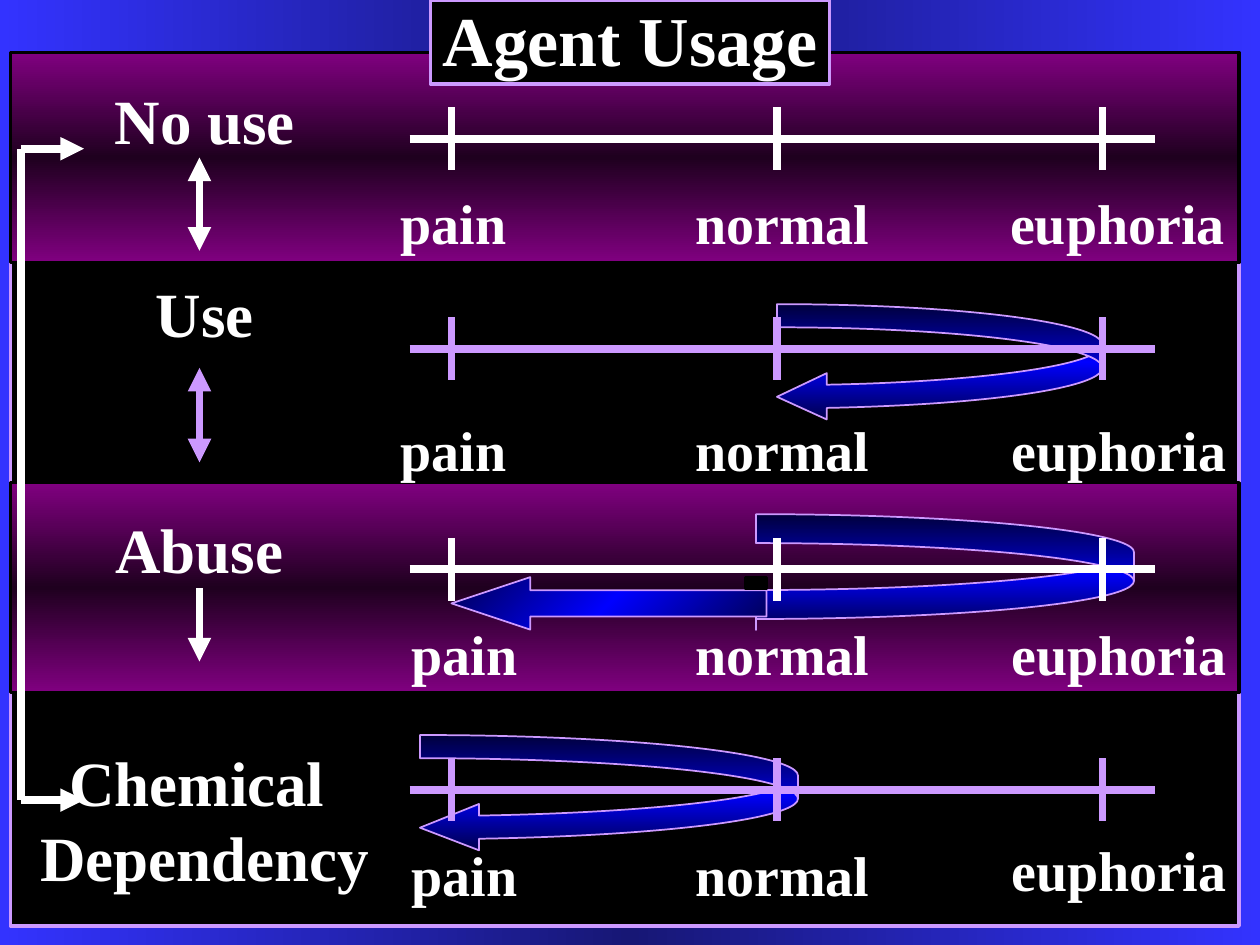
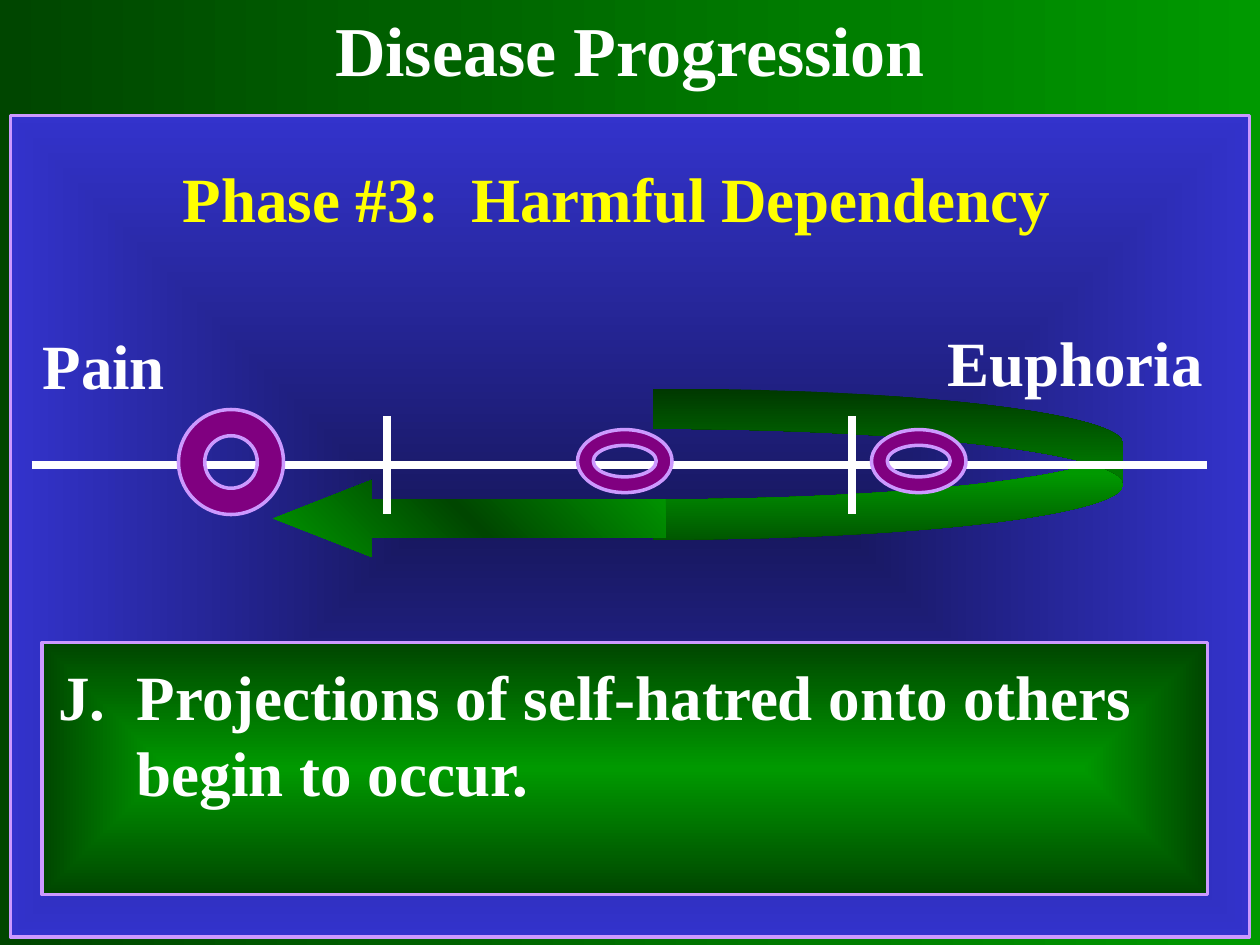
"""Build the two slides on agent usage and disease progression."""
from dataclasses import dataclass

from lxml import etree
from pptx import Presentation
from pptx import util as u
from pptx.dml.color import RGBColor
from pptx.enum import shapes, text
from pptx.oxml.ns import qn

Pt = u.Pt
Shape = shapes.MSO_SHAPE
Align = text.PP_ALIGN


@dataclass(frozen=True)
class Theme:
    """Colours, fonts and sizes shared by both slides."""
    font: str = "Times New Roman"
    white: str = "FFFFFF"
    black: str = "000000"
    lilac: str = "CC99FF"
    purple: str = "800080"
    yellow: str = "FFFF00"
    title: int = 40
    heading: int = 36
    label: int = 32
    stroke: float = 4.5
    border: int = 2


THEME = Theme()


@dataclass(frozen=True)
class Gradient:
    """A linear gradient, or a rectangular one when angle is None."""
    colors: tuple
    angle: object = None


BLUE_PAGE = Gradient(("3333FF", "171775", "3333FF"), 180)
GREEN_PAGE = Gradient(("009900", "004600"), 180)
PURPLE_BAND = Gradient(("800080", "1F001F", "800080"), 90)
BLUE_LOOP = Gradient(("00004C", "0000FF", "00004C"), 90)
BLUE_ARROW = Gradient(("000054", "0000FF", "000054"), 225)
GREEN_LOOP = Gradient(("004600", "009900", "004600"), 90)
GREEN_ARROW = Gradient(("009900", "004600", "009900"), 135)
BLUE_PANEL = Gradient(("17175E", "3333CC"))
GREEN_PANEL = Gradient(("009900", "004600"))

USAGE_TITLE = "Agent Usage"
STAGES = [
    dict(name=["No use"], name_top=43.2, axis=79.2, labels_top=104.4, pain_left=221.8,
         euphoria=(570.2, 104.4), color=THEME.white, step=(90, 143.3, True)),
    dict(name=["Use"], name_top=153.4, axis=199.4, labels_top=234, pain_left=221.8,
         euphoria=(571, 234), color=THEME.lilac, step=(210.2, 264.2, True)),
    dict(name=["Abuse"], name_top=288, axis=325.4, labels_top=350.6, pain_left=228.2,
         euphoria=(571, 350.6), color=THEME.white, step=(336.2, 378, False)),
    dict(name=["Chemical ", "Dependency"], name_top=421.2, axis=451.4, labels_top=476.6,
         pain_left=228.2, euphoria=(571, 473.8), color=THEME.lilac, step=None),
]
USAGE_BANDS = [(6, 30, 702, 120), (6, 275.8, 702, 120)]
USAGE_LOOPS = [
    ((432, 293.8, 216, 66.2), (0.25, 0.44, 0)),
    ((444, 173.8, 186, 66.2), (0.2, 0.4, 0.43)),
    ((240, 420, 216, 66.2), (0.2, 0.4, 0.51)),
]
AXIS_LEFT, AXIS_RIGHT = 234, 660
TICKS = [258 + 186 * index for index in range(3)]
TICK_REACH = 18
STEP_X = 114
RETURN_LEFT, RETURN_RIGHT, RETURN_ENDS = 12, 48, (85, 457.2)

DISEASE_TITLE = "Disease Progression"
PHASE = "Phase #3:  Harmful Dependency "
STATEMENT = "J.\tProjections of self-hatred onto others begin to occur."
DISEASE_AXIS = 265.7
DISEASE_TICKS = (221, 486.7)
RINGS = [(498, 245.5, 54, 36), (330, 245.5, 54, 36), (102, 234, 60, 60)]
EXTREMES = [("Pain", (17.3, 182.9, 84.2, 50.4)), ("Euphoria", (534.2, 181.4, 160.6, 50.4))]


def rgb(color):
    """Return a colour object for a hexadecimal string."""
    return RGBColor.from_string(color)


def assign(target, values):
    """Set every attribute named in values."""
    for name, value in values.items():
        setattr(target, name, value)


def place(shape, box):
    """Move and size a shape."""
    assign(shape, dict(zip(("left", "top", "width", "height"), map(Pt, box))))


def paint(fill, properties, paint_value):
    """Fill with a solid colour or a gradient."""
    fill.solid()
    if isinstance(paint_value, str):
        fill.fore_color.rgb = rgb(paint_value)
        return
    gradient = etree.Element(qn("a:gradFill"), rotWithShape="1")
    stops = etree.SubElement(gradient, qn("a:gsLst"))
    last = len(paint_value.colors) - 1
    for index, color in enumerate(paint_value.colors):
        stop = etree.SubElement(stops, qn("a:gs"), pos=str(100000 * index // last))
        etree.SubElement(stop, qn("a:srgbClr"), val=color)
    if paint_value.angle is None:
        route = etree.SubElement(gradient, qn("a:path"), path="rect")
        etree.SubElement(route, qn("a:fillToRect"), dict.fromkeys("ltrb", "50000"))
    else:
        etree.SubElement(gradient, qn("a:lin"), ang=str(paint_value.angle * 60000), scaled="0")
    properties.replace(properties.find(qn("a:solidFill")), gradient)


def add_figure(slide, kind, box, fill, line=THEME.lilac, width=THEME.border, adjustments=()):
    """Add a filled preset shape."""
    shape = slide.shapes.add_shape(kind, *map(Pt, box))
    shape.shadow.inherit = False
    paint(shape.fill, shape._element.spPr, fill)
    if line:
        shape.line.color.rgb = rgb(line)
        shape.line.width = Pt(width)
    else:
        shape.line.fill.background()
    for index, value in enumerate(adjustments):
        shape.adjustments[index] = value


def add_line(slide, start, end, color=THEME.white, heads=()):
    """Add a thick straight line with optional arrowheads."""
    connector = slide.shapes.add_connector(shapes.MSO_CONNECTOR.STRAIGHT, *map(Pt, start + end))
    connector.line.color.rgb = rgb(color)
    connector.line.width = Pt(THEME.stroke)
    properties = connector._element.spPr
    for head in heads:
        etree.SubElement(properties.find(qn("a:ln")), qn("a:" + head), type="triangle")
    etree.SubElement(properties, qn("a:effectLst"))


def add_axis(slide, left, right, middle, ticks, reach, color=THEME.white):
    """Add a horizontal scale with vertical ticks."""
    add_line(slide, (left, middle), (right, middle), color)
    for tick in ticks:
        add_line(slide, (tick, middle - reach), (tick, middle + reach), color)


def write(shape, lines, size, color=THEME.white, align=Align.LEFT, wrap=True, hanging=0):
    """Write bold paragraphs into a shape."""
    frame = shape.text_frame
    assign(frame, dict(word_wrap=wrap, auto_size=text.MSO_AUTO_SIZE.NONE,
                       vertical_anchor=text.MSO_ANCHOR.TOP))
    for index, line in enumerate(lines):
        paragraph = frame.paragraphs[0] if index == 0 else frame.add_paragraph()
        paragraph.text = line
        if hanging:
            properties = paragraph._p.get_or_add_pPr()
            properties.set("marL", str(Pt(hanging)))
            properties.set("indent", str(-Pt(hanging)))
            etree.SubElement(properties, qn("a:buNone"))
        assign(paragraph, dict(alignment=align, space_before=Pt(0)))
        assign(paragraph.font, dict(name=THEME.font, size=Pt(size), bold=True))
        paragraph.font.color.rgb = rgb(color)


def add_text(slide, box, lines, size, **style):
    """Add a text box."""
    write(slide.shapes.add_textbox(*map(Pt, box)), lines, size, **style)


def bring_forward(slide, placeholder, box):
    """Place a placeholder above everything drawn so far."""
    place(placeholder, box)
    slide.shapes._spTree.append(placeholder._element)


def add_title(slide, title, top):
    """Fill the title placeholder."""
    bring_forward(slide, slide.shapes.title, (0, top, 720, 55.4))
    write(slide.shapes.title, [title], THEME.title, align=Align.CENTER)


def add_page(presentation, layout, background):
    """Add a slide with a gradient background."""
    slide = presentation.slides.add_slide(presentation.slide_layouts[layout])
    fill = slide.background.fill
    fill.solid()
    paint(fill, slide._element.find(".//" + qn("p:bgPr")), background)
    return slide


def build_usage(presentation):
    """Build the slide with four usage stages."""
    slide = add_page(presentation, 5, BLUE_PAGE)
    add_figure(slide, Shape.RECTANGLE, (6, 43.2, 702, 486), THEME.black)
    for band in USAGE_BANDS:
        add_figure(slide, Shape.RECTANGLE, band, PURPLE_BAND, THEME.black)
    for index, (box, adjustments) in enumerate(USAGE_LOOPS):
        add_figure(slide, Shape.CURVED_LEFT_ARROW, box, BLUE_LOOP, width=1, adjustments=adjustments)
        if index == 0:
            add_figure(slide, Shape.LEFT_ARROW, (258, 329.8, 180, 30), BLUE_ARROW, width=1,
                       adjustments=(0.5, 1.5))
    for stage in STAGES:
        add_axis(slide, AXIS_LEFT, AXIS_RIGHT, stage["axis"], TICKS, TICK_REACH, stage["color"])
        left = 6 if stage["name"] == ["Abuse"] else 12
        add_text(slide, (left, stage["name_top"], 222 - left, 50.4 * len(stage["name"])),
                 stage["name"], THEME.heading, align=Align.CENTER)
        if stage["step"]:
            top, bottom, both = stage["step"]
            heads = ("headEnd", "tailEnd") if both else ("tailEnd",)
            add_line(slide, (STEP_X, top), (STEP_X, bottom), stage["color"], heads)
        top = stage["labels_top"]
        for label, position, width in (("pain", (stage["pain_left"], top), 74.9),
                                       ("normal", (390.2, top), 113.8),
                                       ("euphoria", stage["euphoria"], 136.8)):
            add_text(slide, position + (width, 46), [label], THEME.label, wrap=False)
    add_figure(slide, Shape.RECTANGLE, (246, 0, 228, 48), THEME.black)
    add_title(slide, USAGE_TITLE, -5.8)
    add_line(slide, (RETURN_LEFT, RETURN_ENDS[0]), (RETURN_LEFT, RETURN_ENDS[1]))
    for end in RETURN_ENDS:
        add_line(slide, (RETURN_LEFT, end), (RETURN_RIGHT, end), heads=("tailEnd",))
    add_figure(slide, Shape.RECTANGLE, (426, 330, 12, 6), THEME.black, THEME.black)


def build_disease(presentation):
    """Build the slide on the harmful dependency phase."""
    slide = add_page(presentation, 1, GREEN_PAGE)
    add_figure(slide, Shape.RECTANGLE, (6, 66, 708, 469.4), BLUE_PANEL)
    add_figure(slide, Shape.CURVED_LEFT_ARROW, (373, 222, 269, 96), GREEN_LOOP, None,
               adjustments=(0.24, 0.44, 0))
    add_figure(slide, Shape.LEFT_ARROW, (156.2, 274.3, 224, 44), GREEN_ARROW, None,
               adjustments=(0.5, 1.28))
    add_figure(slide, Shape.RECTANGLE, (24, 367.2, 666, 144), GREEN_PANEL)
    add_axis(slide, 18, 690, DISEASE_AXIS, DISEASE_TICKS, 28)
    for label, box in EXTREMES:
        add_text(slide, box, [label], THEME.heading, wrap=False)
    add_title(slide, DISEASE_TITLE, 0)
    add_text(slide, (12, 87.8, 690, 50.4), [PHASE], THEME.heading, color=THEME.yellow,
             align=Align.CENTER)
    body = slide.placeholders[1]
    bring_forward(slide, body, (26, 372.2, 650, 93.6))
    write(body, [STATEMENT], THEME.heading, hanging=45)
    for ring in RINGS:
        add_figure(slide, Shape.DONUT, ring, THEME.purple, adjustments=(0.25,))


def main():
    """Build and save the presentation."""
    presentation = Presentation()
    assign(presentation, dict(slide_width=Pt(720), slide_height=Pt(540)))
    build_usage(presentation)
    build_disease(presentation)
    presentation.save("out.pptx")


if __name__ == "__main__":
    main()
